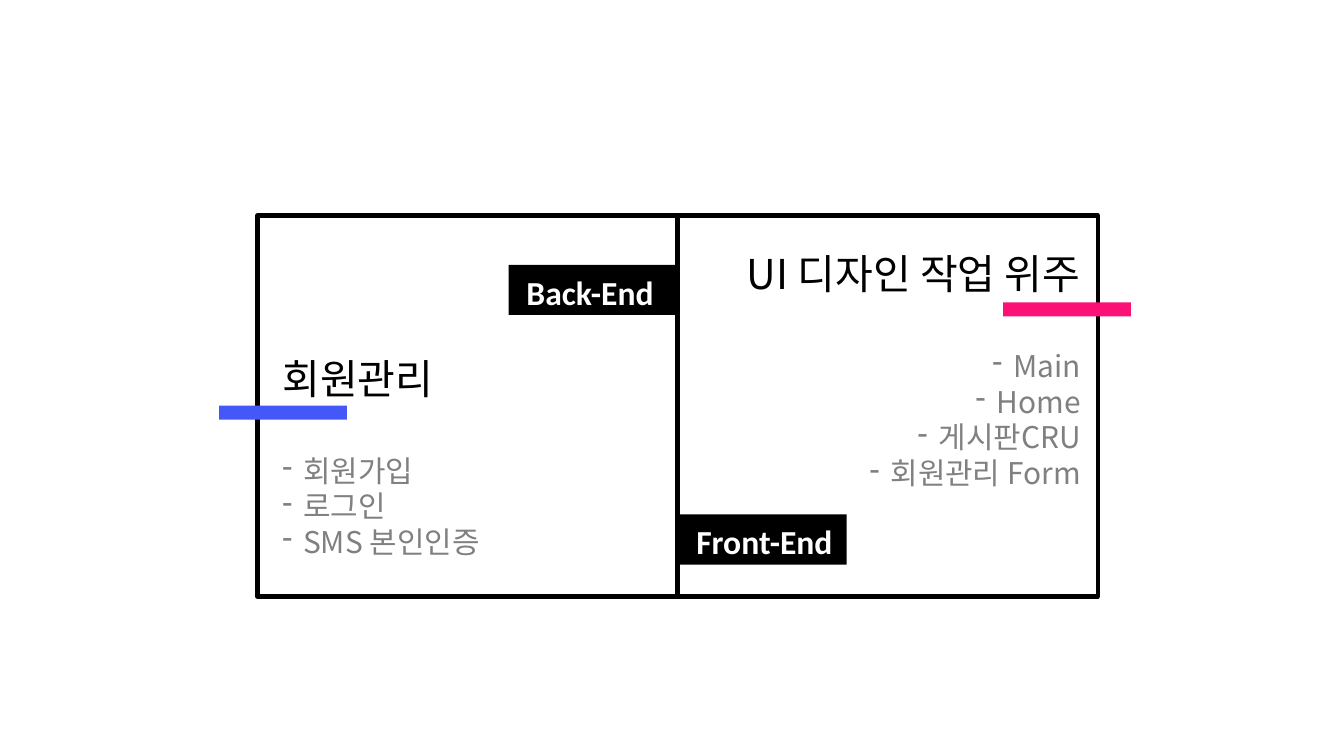
import pptx
import pptx.util
import pptx.dml.color
import pptx.enum.shapes
import pptx.enum.text
import pptx.oxml.ns
import lxml.etree

Cm = pptx.util.Cm
Pt = pptx.util.Pt
ALIGN = pptx.enum.text.PP_ALIGN

KOREAN_FONT = "Noto Sans CJK KR"
LABEL_FONT = "Calibri"
PANEL_WIDTH, PANEL_HEIGHT = 15.88, 14.4
PANEL_LEFT, PANEL_TOP = 9.73, 8.15
TAG_WIDTH, TAG_HEIGHT = 6.35, 1.9


def color(hex_string):
    return pptx.dml.color.RGBColor.from_string(hex_string)


def add_rectangle(slide, left, top, width, height, fill=None, line=None):
    shape = slide.shapes.add_shape(
        pptx.enum.shapes.MSO_SHAPE.RECTANGLE, Cm(left), Cm(top), Cm(width), Cm(height))
    shape.shadow.inherit = False
    if fill:
        shape.fill.solid()
        shape.fill.fore_color.rgb = color(fill)
    else:
        shape.fill.background()
    if line:
        shape.line.color.rgb = color(line)
        shape.line.width = Pt(4.5)
    else:
        shape.line.fill.background()
    return shape


def add_text_box(slide, left, top, width, height):
    frame = slide.shapes.add_textbox(Cm(left), Cm(top), Cm(width), Cm(height)).text_frame
    frame.word_wrap = True
    frame.auto_size = pptx.enum.text.MSO_AUTO_SIZE.SHAPE_TO_FIT_TEXT
    return frame


def write(paragraph, text, size, font, fill, bold=False, align=ALIGN.LEFT, spacing=None):
    paragraph.alignment = align
    if spacing:
        paragraph.line_spacing = Pt(spacing)
    run = paragraph.add_run()
    run.text = text
    run.font.size = Pt(size)
    run.font.name = font
    run.font.bold = bold
    run.font.color.rgb = color(fill)
    east_asian = lxml.etree.SubElement(
        run.font._element, pptx.oxml.ns.qn("a:ea"))
    east_asian.set("typeface", font)


def add_dash(paragraph):
    properties = paragraph._p.get_or_add_pPr()
    indent = Cm(0.79)
    properties.set("marL", str(indent))
    properties.set("indent", str(-indent))
    bullet = lxml.etree.SubElement(properties, pptx.oxml.ns.qn("a:buChar"))
    bullet.set("char", "-")


def add_topic(slide, left, top, width, height, heading, items, align):
    frame = add_text_box(slide, left, top, width, height)
    write(frame.paragraphs[0], heading, 44, KOREAN_FONT, "000000",
          align=align, spacing=53)
    for index, item in enumerate(items):
        paragraph = frame.add_paragraph()
        write(paragraph, item, 32, KOREAN_FONT, "808080", align=align, spacing=38.4)
        if index == 0:
            paragraph.space_before = Pt(53)
        add_dash(paragraph)


def add_panel(slide, left, top, tag, tag_at, topic_box, heading, items, align,
              bar_at, bar_color):
    """Outlined panel; every inner position is relative to its top left corner."""
    add_rectangle(slide, left, top, PANEL_WIDTH, PANEL_HEIGHT, line="000000")
    # Black tag and its label
    tag_left, tag_top = left + tag_at[0], top + tag_at[1]
    add_rectangle(slide, tag_left, tag_top, TAG_WIDTH, TAG_HEIGHT, fill="000000")
    label = add_text_box(slide, tag_left + 0.42, tag_top + 0.13, 7.82, 1.8)
    write(label.paragraphs[0], tag, 36, LABEL_FONT, "FFFFFF", bold=True)
    # Heading with its list
    x, y, width, height = topic_box
    add_topic(slide, left + x, top + y, width, height, heading, items, align)
    # Accent bar across the outer edge
    add_rectangle(slide, left + bar_at[0], top + bar_at[1], 4.83, 0.53, fill=bar_color)


def main():
    presentation = pptx.Presentation()
    presentation.slide_width = Cm(50.8)
    presentation.slide_height = Cm(28.58)
    slide = presentation.slides.add_slide(presentation.slide_layouts[6])

    add_panel(slide, PANEL_LEFT, PANEL_TOP, "Back-End", (9.5, 1.86),
              (0.69, 5.08, 8.48, 8.13), "회원관리",
              ["회원가입", "로그인", "SMS 본인인증"], ALIGN.LEFT,
              (-1.45, 7.19), "4358F7")
    add_panel(slide, PANEL_LEFT + PANEL_WIDTH, PANEL_TOP, "Front-End", (0.04, 11.3),
              (1.72, 1.12, 13.77, 9.5), "UI 디자인 작업 위주",
              ["Main", "Home", "게시판CRU", "회원관리 Form"], ALIGN.RIGHT,
              (12.31, 3.28), "FB1175")

    presentation.save("out.pptx")


if __name__ == "__main__":
    main()
